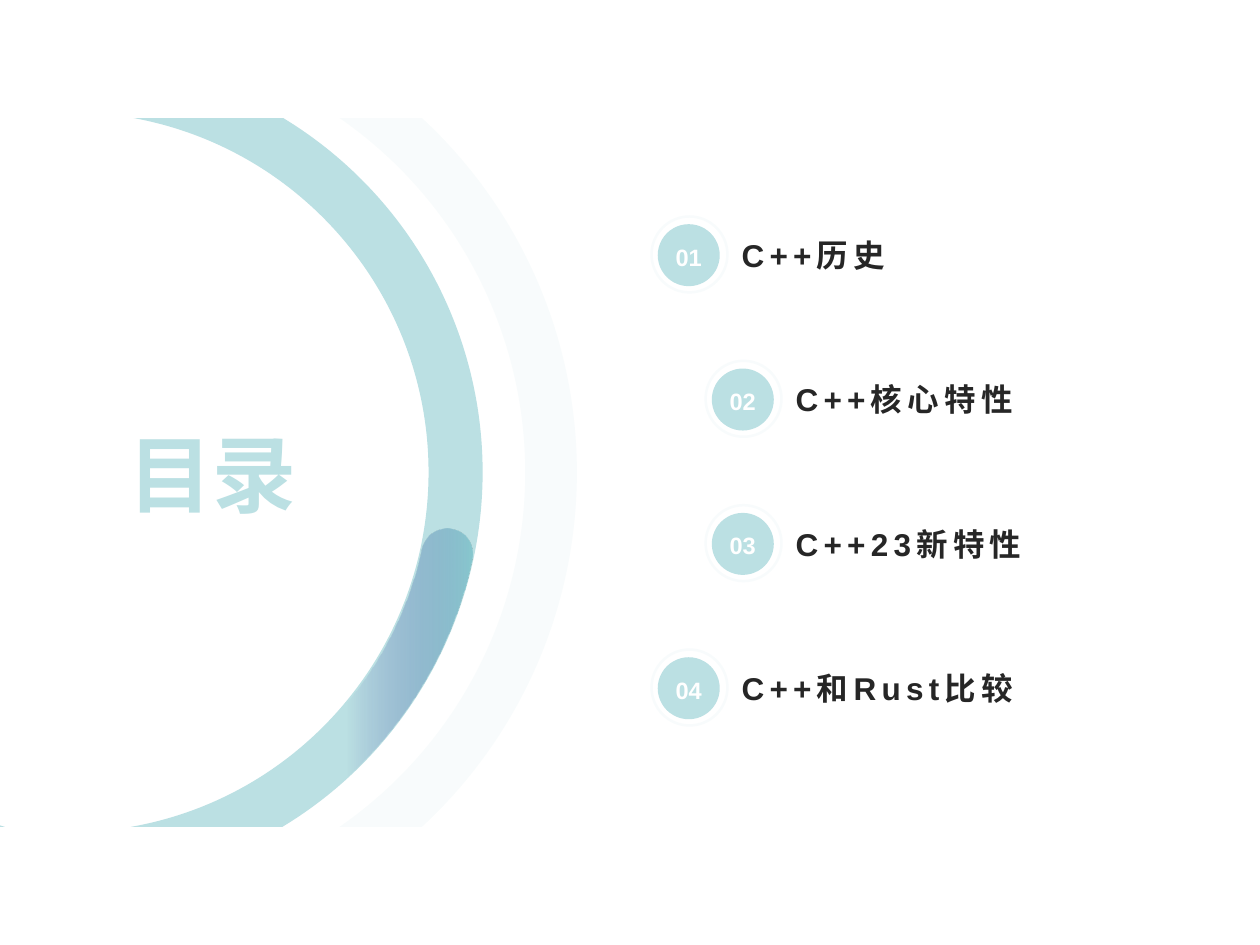
from math import asin, cos, pi, radians, sin, tan

from pptx import Presentation
from pptx.dml.color import RGBColor
from pptx.enum.shapes import MSO_SHAPE
from pptx.enum.text import MSO_ANCHOR, PP_ALIGN
from pptx.oxml.ns import qn
from pptx.util import Cm, Pt

TEAL = RGBColor(0xBB, 0xE0, 0xE3)
DEEP_TEAL = RGBColor(0x72, 0xBF, 0xC5)
INDIGO = RGBColor(0x33, 0x33, 0x99)
INK = RGBColor(0x26, 0x26, 0x26)
WHITE = RGBColor(0xFF, 0xFF, 0xFF)
TOPICS = [
    ("C++历史", 0),
    ("C++核心特性", 1.09),
    ("C++23新特性", 1.09),
    ("C++和Rust比较", 0),
]


def set_alphas(shape, *percents):
    """Set the opacity of each fill colour of a shape, in order."""
    colors = shape._element.spPr.iter(qn("a:srgbClr"))
    for color, percent in zip(list(colors), percents):
        alpha = color.makeelement(qn("a:alpha"), {"val": str(percent * 1000)})
        color.append(alpha)


def finish(shape, color=None):
    """Remove outline and shadow, and fill with a plain colour if given."""
    shape.shadow.inherit = False
    shape.line.fill.background()
    if color is not None:
        shape.fill.solid()
        shape.fill.fore_color.rgb = color
    return shape


def arc(center, radius, angles):
    """Return a start point and one cubic curve between each two angles."""
    x, y = center

    def on_circle(angle, lean=0):
        return (
            x + radius * (cos(angle) - lean * sin(angle)),
            y + radius * (sin(angle) + lean * cos(angle)),
        )

    steps = [[on_circle(angles[0])]]
    for start, end in zip(angles, angles[1:]):
        lean = 4 / 3 * tan((end - start) / 4)
        steps.append([on_circle(start, lean), on_circle(end, -lean), on_circle(end)])
    return steps


def add_outline(slide, left, top, *contours):
    """Add a freeform of closed contours, with steps of one or three points."""
    builder = None
    for contour in contours:
        points = [(Cm(left + x), Cm(top + y)) for step in contour for x, y in step]
        if builder is None:
            builder = slide.shapes.build_freeform(*points[0])
        else:
            builder.move_to(*points[0])
        builder.add_line_segments(points[1:], close=True)
    shape = builder.convert_to_shape()
    lines = iter(list(shape._element.iter(qn("a:lnTo"))))
    for step in (step for contour in contours for step in contour[1:]):
        segment = [next(lines) for point in step]
        if len(segment) == 3:
            curve = segment[0].makeelement(qn("a:cubicBezTo"), {})
            segment[0].addprevious(curve)
            for line in segment:
                curve.append(line[0])
                line.getparent().remove(line)
    return shape


def clipped_band(center, inner, outer, height):
    """Return the right side of a ring cut by the top and bottom of a box."""
    y = center[1]
    first, last = asin(-y / outer), asin((height - y) / outer)
    upper, lower = asin(-y / inner), asin((height - y) / inner)
    return arc(center, outer, [first, 0, last]) + arc(center, inner, [lower, 0, upper])


def rounded_band(center, inner, outer, start, height):
    """Return a ring section with a round upper end, cut by the box bottom."""
    x, y = center
    middle = (inner + outer) / 2
    cap_center = (x + middle * cos(start), y + middle * sin(start))
    cap = arc(cap_center, (outer - inner) / 2, [start - pi, start - pi / 2, start])
    outer_edge = arc(center, outer, [start, asin((height - y) / outer)])
    inner_edge = arc(center, inner, [asin((height - y) / inner), start])
    return cap + outer_edge[1:] + inner_edge


def add_dial(slide, left, top, height):
    """Draw the halo, the ring and its highlighted section."""
    halo = clipped_band((1.9, height / 2), 8.69, 9.73, height)
    set_alphas(finish(add_outline(slide, left, top, halo), TEAL), 10)

    center = (1.38, 7.14)
    corner = [[(0, height - 0.03)], [(0, height)], [(0.1, height)]]
    ring = clipped_band(center, 7.26, 8.35, height)
    finish(add_outline(slide, left, top, corner, ring), TEAL)

    highlight = rounded_band(center, 7.28, 8.32, radians(12.2), height)
    shape = finish(add_outline(slide, left, top, corner, highlight))
    shape.fill.gradient()
    shape.fill.gradient_angle = 0
    stops = shape.fill.gradient_stops
    for stop, position, color in zip(stops, (0.73, 1), (INDIGO, DEEP_TEAL)):
        stop.position = position
        stop.color.rgb = color
    set_alphas(shape, 0, 70)


def write(shape, text, size, color, wrap=True):
    """Put one bold line of text in a shape without margins."""
    frame = shape.text_frame
    frame.margin_left = frame.margin_right = frame.margin_top = frame.margin_bottom = 0
    frame.vertical_anchor = MSO_ANCHOR.MIDDLE
    frame.word_wrap = wrap
    paragraph = frame.paragraphs[0]
    paragraph.text = text
    font = paragraph.font
    font.name, font.size, font.bold = "Arial", Pt(size), True
    font.color.rgb = color
    return paragraph


def add_text(slide, left, top, width, height, text, size, color):
    """Add a text box and return its paragraph."""
    box = slide.shapes.add_textbox(Cm(left), Cm(top), Cm(width), Cm(height))
    return write(box, text, size, color)


def add_topic(slide, left, top, number, text):
    """Draw a numbered badge and its topic."""
    quarters = [quarter * pi / 2 for quarter in range(5)]
    middle = (0.79, 0.79)
    outer, inner = arc(middle, 0.79, quarters), arc(middle, 0.74, quarters[::-1])
    set_alphas(finish(add_outline(slide, left, top, outer, inner), TEAL), 10)

    disc = slide.shapes.add_shape(
        MSO_SHAPE.OVAL, Cm(left + 0.15), Cm(top + 0.18), Cm(1.25), Cm(1.25)
    )
    finish(disc, TEAL)
    label = write(disc, f"{number:02}", 13.5, WHITE, wrap=False)
    label.alignment = PP_ALIGN.CENTER
    label.line_spacing = 1.1

    topic = add_text(slide, left + 1.84, top + 0.28, 7.65, 1.04, text, 18, INK)
    topic.runs[0].font._element.set("spc", "300")


def add_topics(slide, left, top, pitch):
    """Place the topics at equal steps down the slide."""
    for index, (text, indent) in enumerate(TOPICS):
        add_topic(slide, left + indent, top + index * pitch, index + 1, text)


def main():
    """Build the contents slide."""
    presentation = Presentation()
    presentation.slide_width, presentation.slide_height = Cm(25.4), Cm(19.05)
    slide = presentation.slides.add_slide(presentation.slide_layouts[6])
    add_dial(slide, 0, 2.38, 14.29)
    add_text(slide, 2.59, 8.17, 5.54, 2.74, "目录", 48, TEAL)
    add_topics(slide, 13.11, 4.34, 2.91)
    presentation.save("out.pptx")


if __name__ == "__main__":
    main()
